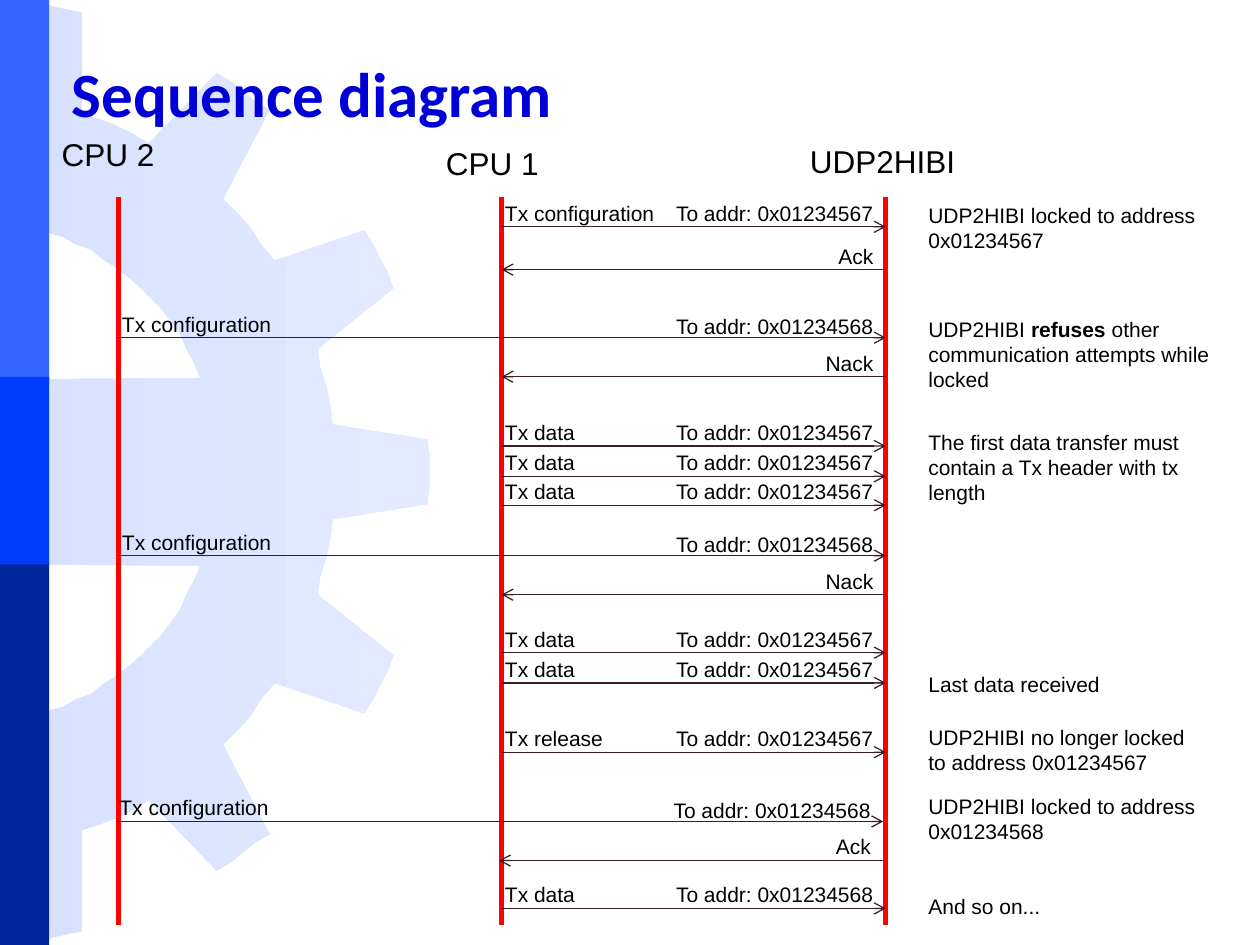
import pptx
import pptx.dml.color
import pptx.enum.shapes
import pptx.enum.text
import pptx.oxml.ns
import pptx.util
from lxml import etree

Inches = pptx.util.Inches
Align = pptx.enum.text.PP_ALIGN
Anchor = pptx.enum.text.MSO_ANCHOR

COLORS = {
    "title": "0000D6", "text": "000000", "lifeline": "FF0000", "message": "3E1E25",
    "bar_top": "3366FF", "bar_middle": "003CFC", "bar_bottom": "00259C",
    "gear_left": "D7E1FF", "gear_right": "E3EAFF",
}
FORMATS = {
    "title": {"name": "Calibri", "size": pptx.util.Pt(36), "bold": True},
    "actor": {"name": "Arial", "size": pptx.util.Pt(18), "bold": False},
    "label": {"name": "Arial", "size": pptx.util.Pt(12), "bold": False},
}
TITLE = "Sequence diagram"
BARS = [("bar_top", 0, 3.05), ("bar_bottom", 4.46, 3.04), ("bar_middle", 2.99, 1.49)]
BAR_WIDTH = 0.39
GEAR_HEIGHT = 7.49
GEAR_LOWER_HALF = [
    (0, 4.48), (1.59, 4.49), (1.54, 4.61), (1.48, 4.72), (1.43, 4.84), (1.35, 4.95),
    (1.28, 5.04), (1.2, 5.12), (1.1, 5.22), (1.03, 5.28), (0.93, 5.36), (0.82, 5.43),
    (0.72, 5.51), (0.6, 5.55), (0.5, 5.61), (0.38, 5.64), (0.26, 5.68), (0.13, 5.7),
    (0.13, 7.49), (0.27, 7.46), (0.38, 7.45), (0.51, 7.42), (0.65, 7.39), (0.65, 6.59),
    (0.8, 6.54), (0.93, 6.49), (1.05, 6.43), (1.18, 6.35), (1.72, 6.91), (1.84, 6.84),
    (1.92, 6.77), (2.02, 6.69), (2.14, 6.62), (1.77, 5.91), (1.9, 5.78), (1.99, 5.68),
    (2.07, 5.55), (2.18, 5.42), (2.89, 5.66), (2.96, 5.55), (3.02, 5.43), (3.07, 5.34),
    (3.12, 5.2), (2.52, 4.72), (2.54, 4.57), (2.59, 4.42), (2.62, 4.27), (2.64, 4.12),
    (3.39, 4), (3.41, 3.85),
]
LIFELINES = {"CPU 2": 0.94, "CPU 1": 3.98, "UDP2HIBI": 7.03}
LIFELINE_TOP, LIFELINE_BOTTOM = 1.56, 7.34
ACTORS = [("CPU 2", 0.39, 1.02, 1.02), ("CPU 1", 3.44, 1.09, 1.02),
          ("UDP2HIBI", 6.33, 1.08, 1.48)]
LOCKED, OTHER = "To addr: 0x01234567", "To addr: 0x01234568"
REQUESTS = [
    (1.8, "CPU 1", "Tx configuration", LOCKED),
    (2.68, "CPU 2", "Tx configuration", OTHER),
    (3.54, "CPU 1", "Tx data", LOCKED),
    (3.78, "CPU 1", "Tx data", LOCKED),
    (4.01, "CPU 1", "Tx data", LOCKED),
    (4.41, "CPU 2", "Tx configuration", OTHER),
    (5.18, "CPU 1", "Tx data", LOCKED),
    (5.42, "CPU 1", "Tx data", LOCKED),
    (5.97, "CPU 1", "Tx release", LOCKED),
    (6.52, "CPU 2", "Tx configuration", OTHER),
    (7.21, "CPU 1", "Tx data", OTHER),
]
REPLIES = [(2.14, "Ack"), (2.99, "Nack"), (4.72, "Nack"), (6.83, "Ack")]
SHIFTED_ROWS = {6.52: -0.02, 6.83: -0.02}
NOTES = [
    (1.56, 2.34, 0.51, [("UDP2HIBI locked to address 0x01234567", False)]),
    (2.46, 2.5, 0.71, [("UDP2HIBI ", False), ("refuses ", True),
                       ("other communication attempts while locked", False)]),
    (3.36, 2.5, 0.71,
     [("The first data transfer must contain a Tx header with tx length", False)]),
    (5.28, 2.34, 0.3, [("Last data received", False)]),
    (5.7, 2.34, 0.51, [("UDP2HIBI no longer locked to address 0x01234567", False)]),
    (6.25, 2.34, 0.51, [("UDP2HIBI locked to address 0x01234568", False)]),
    (7.04, 2.34, 0.3, [("And so on...", False)]),
]
NOTE_LEFT = 7.27
LABEL_HEIGHT, LABEL_RISE, LABEL_INDENT = 0.3, 0.26, 0.07


def rgb(key):
    return pptx.dml.color.RGBColor.from_string(COLORS[key])


def format_font(font, style, color="text"):
    for name, value in FORMATS[style].items():
        setattr(font, name, value)
    font.color.rgb = rgb(color)


def add_text(slide, box, runs, style="label", align=Align.LEFT):
    shape = slide.shapes.add_textbox(*map(Inches, box))
    shape.text_frame.word_wrap = True
    shape.text_frame.auto_size = pptx.enum.text.MSO_AUTO_SIZE.SHAPE_TO_FIT_TEXT
    paragraph = shape.text_frame.paragraphs[0]
    paragraph.alignment = align
    for text, bold in runs:
        run = paragraph.add_run()
        run.text = text
        format_font(run.font, style)
        run.font.bold = bold


def add_line(slide, start, end, color, width, arrow=False):
    line = slide.shapes.add_connector(
        pptx.enum.shapes.MSO_CONNECTOR.STRAIGHT, *map(Inches, (*start, *end)))
    line.line.color.rgb = rgb(color)
    line.line.width = pptx.util.Pt(width)
    qn = pptx.oxml.ns.qn
    properties = line._element.spPr
    if arrow:
        etree.SubElement(properties.find(qn("a:ln")), qn("a:tailEnd"), type="arrow")
    etree.SubElement(properties, qn("a:effectLst"))


def add_background(slide):
    upper_half = [(x, GEAR_HEIGHT - y) for x, y in reversed(GEAR_LOWER_HALF)]
    points = [(Inches(x), Inches(y)) for x, y in GEAR_LOWER_HALF + upper_half]
    builder = slide.shapes.build_freeform(*points[0])
    builder.add_line_segments(points[1:], close=True)
    gear = builder.convert_to_shape()
    gear.shadow.inherit = False
    gear.line.fill.background()
    gear.fill.gradient()
    gear.fill.gradient_angle = 0
    for stop, color in zip(gear.fill.gradient_stops, ("gear_left", "gear_right")):
        stop.color.rgb = rgb(color)
    for color, top, height in BARS:
        bar = slide.shapes.add_shape(pptx.enum.shapes.MSO_SHAPE.RECTANGLE,
                                     *map(Inches, (0, top, BAR_WIDTH, height)))
        bar.shadow.inherit = False
        bar.fill.solid()
        bar.fill.fore_color.rgb = rgb(color)
        bar.line.fill.background()


def add_title(slide):
    title = slide.shapes.title
    slide.shapes._spTree.append(title._element)
    place = {"left": 0.47, "top": 0.14, "width": 9, "height": 0.95}
    for name, value in place.items():
        setattr(title, name, Inches(value))
    title.text_frame.text = TITLE
    title.text_frame.vertical_anchor = Anchor.BOTTOM
    paragraph = title.text_frame.paragraphs[0]
    paragraph.alignment = Align.LEFT
    paragraph.line_spacing = 0.9
    format_font(paragraph.runs[0].font, "title", "title")


def add_diagram(slide):
    for x in LIFELINES.values():
        add_line(slide, (x, LIFELINE_TOP), (x, LIFELINE_BOTTOM), "lifeline", 3)
    for name, left, top, width in ACTORS:
        add_text(slide, (left, top, width, 0.4), [(name, False)], "actor")

    def add_right_label(text, right, top, width):
        add_text(slide, (right - width, top, width, LABEL_HEIGHT), [(text, False)],
                 align=Align.RIGHT)

    for y, sender, label, address in REQUESTS:
        shift = SHIFTED_ROWS.get(y, 0)
        start, end = LIFELINES[sender] + shift, LIFELINES["UDP2HIBI"] + shift
        add_line(slide, (start, y), (end, y), "message", 0.75, arrow=True)
        add_text(slide, (start - LABEL_INDENT, y - LABEL_RISE, 1.64, LABEL_HEIGHT),
                 [(label, False)])
        drop = 0.02 if sender == "CPU 2" else 0
        add_right_label(address, end, y - LABEL_RISE + drop, 1.88)
    for y, label in REPLIES:
        shift = SHIFTED_ROWS.get(y, 0)
        start, end = LIFELINES["UDP2HIBI"] + shift, LIFELINES["CPU 1"] + shift
        add_line(slide, (start, y), (end, y), "message", 0.75, arrow=True)
        add_right_label(label, start, y - LABEL_RISE, 0.7)
    for top, width, height, runs in NOTES:
        add_text(slide, (NOTE_LEFT, top, width, height), runs)


def main():
    presentation = pptx.Presentation()
    presentation.slide_width, presentation.slide_height = Inches(10), Inches(7.5)
    slide = presentation.slides.add_slide(presentation.slide_layouts[5])
    add_background(slide)
    add_title(slide)
    add_diagram(slide)
    presentation.save("out.pptx")


if __name__ == "__main__":
    main()
